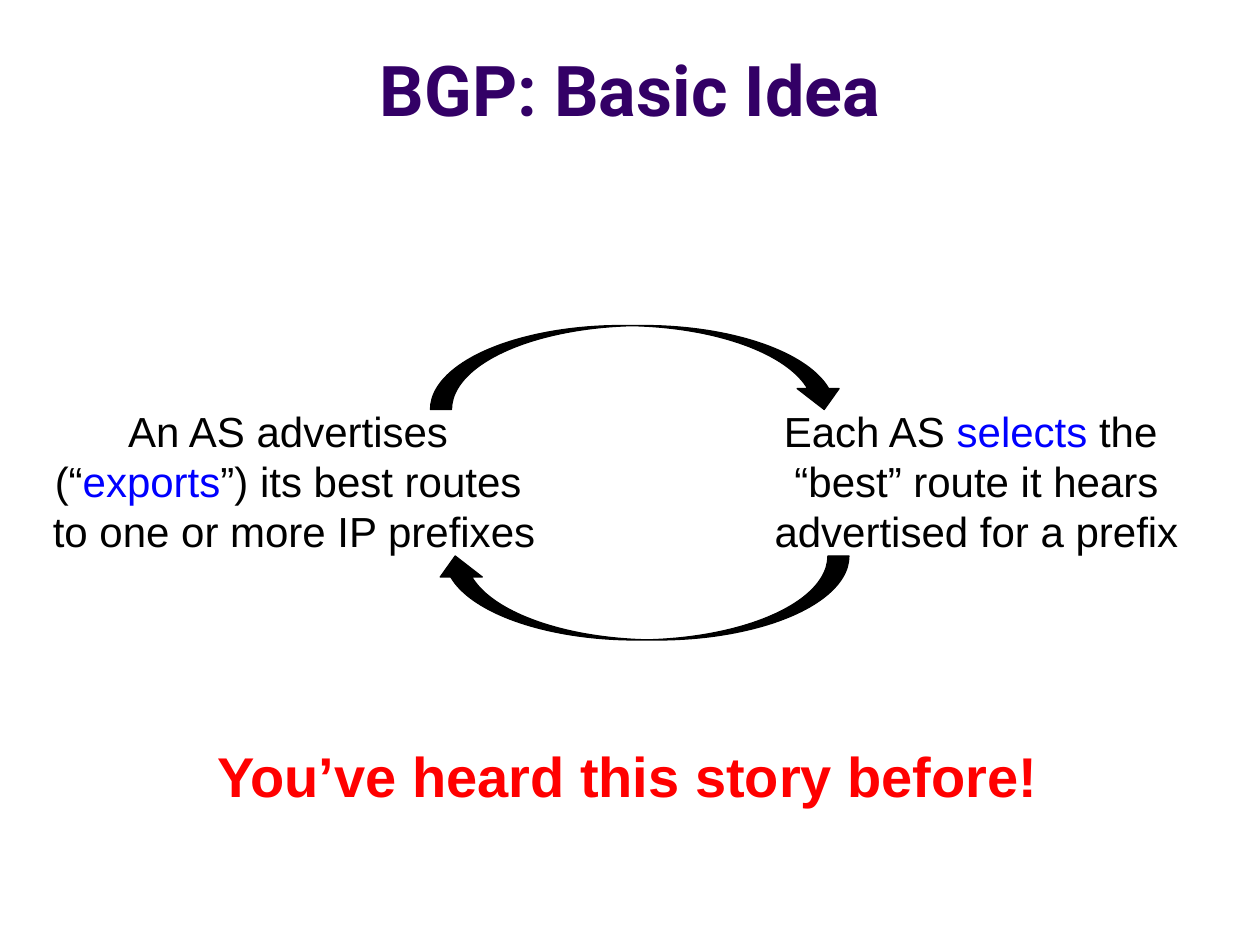
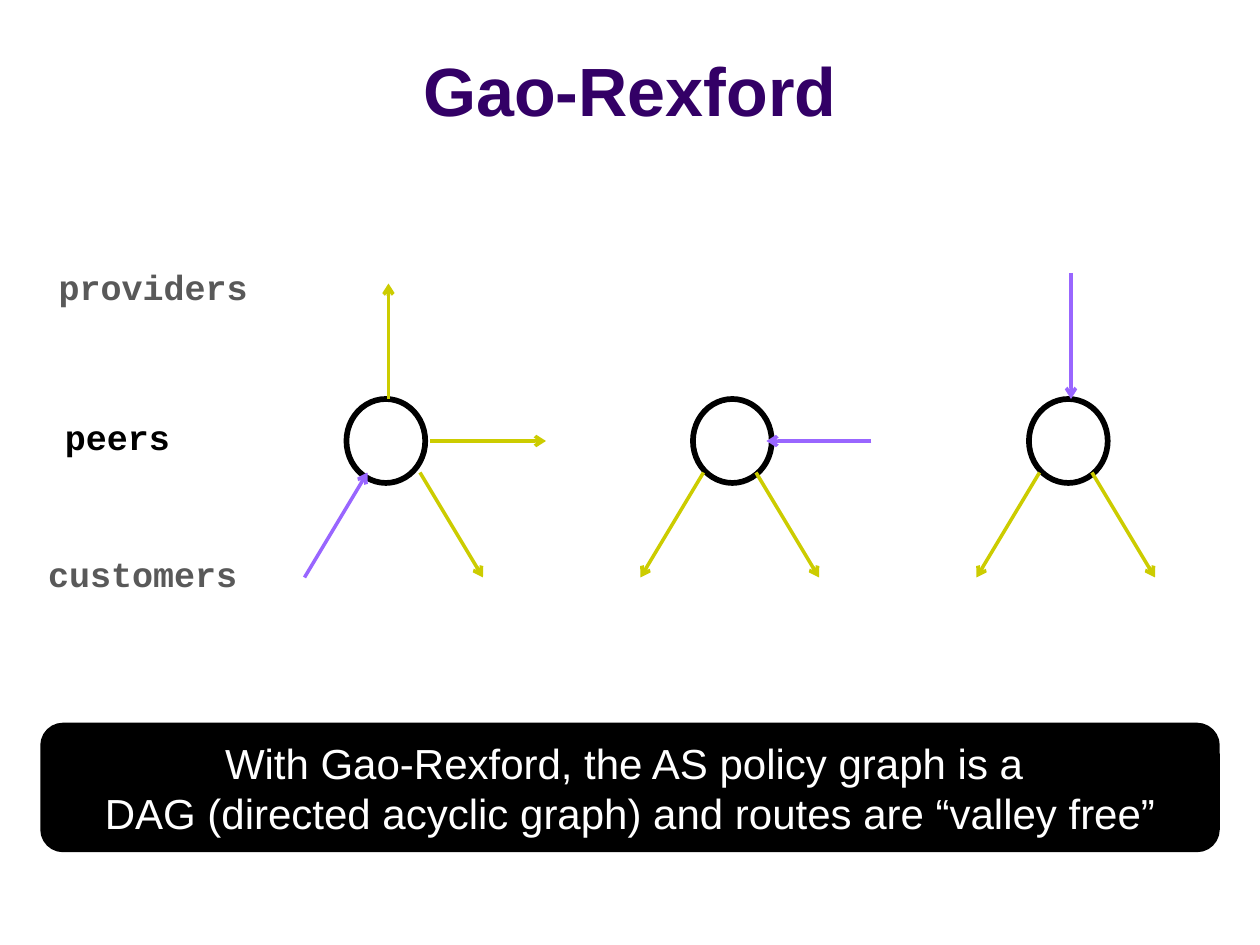
from dataclasses import dataclass

from lxml import etree
from pptx import Presentation
from pptx.dml.color import RGBColor
from pptx.enum.shapes import MSO_CONNECTOR, MSO_SHAPE
from pptx.enum.text import MSO_ANCHOR, MSO_AUTO_SIZE, PP_ALIGN
from pptx.oxml.ns import qn
from pptx.util import Inches, Pt

STRAIGHT = MSO_CONNECTOR.STRAIGHT
OVAL, ROUNDED = MSO_SHAPE.OVAL, MSO_SHAPE.ROUNDED_RECTANGLE
CURVED_ARROW = MSO_SHAPE.CURVED_LEFT_ARROW
LEFT, CENTER = PP_ALIGN.LEFT, PP_ALIGN.CENTER

# The slide is a grid of 120 columns by 90 rows, twelve to the inch.
COLS, ROWS = 120, 90
TITLE_BOTTOM = 13

# Rows and sizes of the routing diagram
NODE_W, NODE_H = 7.5, 8
NODE_TOP = 38
PEER_ROW = 42
CUSTOMER_TOP, CUSTOMER_BOTTOM = 45, 55
SLANT = 6


@dataclass(frozen=True)
class Theme:
    sans: str = "Arial"
    mono: str = "Courier New"
    heading: str = "Roboto"
    title: str = "330066"
    ink: str = "000000"
    paper: str = "FFFFFF"
    muted: str = "595959"
    key: str = "0000FF"
    alert: str = "FF0000"
    export_route: str = "CCCC00"
    import_route: str = "9966FF"
    body_size: int = 24
    label_size: int = 20
    punch_size: int = 32


T = Theme()


def grid(*units):
    return [Inches(u / 12) for u in units]


def rgb(value):
    return RGBColor.from_string(value)


def write(p, parts, size, color=T.ink, font=T.sans, bold=False, align=CENTER):
    """Fill p from (text, colour or None) parts; a newline is a line break."""
    p.alignment = align
    for text, part_color in parts:
        for i, line in enumerate(text.split("\n")):
            if i:
                p.add_line_break()
            r = p.add_run()
            r.text = line
            r.font.name, r.font.size, r.font.bold = font, Pt(size), bold
            r.font.color.rgb = rgb(part_color or color)


def add_slide(prs, title, left, top, size, font):
    s = prs.slides.add_slide(prs.slide_layouts[5])
    sp = s.shapes.title
    sp.left, sp.top, sp.width, sp.height = grid(
        left, top, COLS - 2 * left, TITLE_BOTTOM - top)
    tf = sp.text_frame
    tf.auto_size = MSO_AUTO_SIZE.NONE
    tf.vertical_anchor = MSO_ANCHOR.BOTTOM
    write(tf.paragraphs[0], [(title, None)], size, T.title, font, bold=True)
    return s


def add_text(s, box, parts, size, wrap=True, **style):
    tf = s.shapes.add_textbox(*grid(*box)).text_frame
    tf.word_wrap = wrap
    if not wrap:
        tf.auto_size = MSO_AUTO_SIZE.SHAPE_TO_FIT_TEXT
    write(tf.paragraphs[0], parts, size, **style)


def add_shape(s, kind, box, line_width, fill=None):
    sp = s.shapes.add_shape(kind, *grid(*box))
    sp.shadow.inherit = False
    if fill:
        sp.fill.solid()
        sp.fill.fore_color.rgb = rgb(fill)
    else:
        sp.fill.background()
    sp.line.color.rgb = rgb(T.ink)
    sp.line.width = Pt(line_width)
    return sp


def add_arrow(s, start, end, color):
    c = s.shapes.add_connector(STRAIGHT, *grid(*start, *end))
    c.line.color.rgb = rgb(color)
    c.line.width = Pt(2)
    etree.SubElement(c.line._get_or_add_ln(), qn("a:tailEnd"), type="arrow")
    etree.SubElement(c._element.spPr, qn("a:effectLst"))


def add_customer_arrow(s, x, side, incoming=False):
    """Slanted arrow below a node; side is -1 for left, 1 for right."""
    node_end = (x, CUSTOMER_TOP)
    customer_end = (x + side * SLANT, CUSTOMER_BOTTOM)
    if incoming:
        add_arrow(s, customer_end, node_end, T.import_route)
    else:
        add_arrow(s, node_end, customer_end, T.export_route)


def build_basic_idea(prs):
    s = add_slide(prs, "BGP: Basic Idea", 6, -2.4, 40, T.heading)
    add_text(s, (65, 38, 56, 17),
             [("Each AS ", None), ("selects", T.key),
              (" the \n“best” route it hears advertised for a prefix", None)],
             T.body_size)
    add_text(s, (3, 38, 50, 17),
             [("An AS advertises \n(“", None), ("exports", T.key),
              ("”) its best routes \nto one or more IP prefixes", None)],
             T.body_size)
    for left, top, rotation in ((56.75, 15.25, 270), (57.1, 37.2, 90)):
        sp = add_shape(s, CURVED_ARROW, (left, top, 8, 39.5), 0.75, T.ink)
        sp.rotation = rotation
    add_text(s, (19.5, 70, 81.2, 7.7),
             [("You’ve heard this story before!", None)], T.punch_size,
             wrap=False, color=T.alert, bold=True, align=LEFT)


def build_gao_rexford(prs):
    s = add_slide(prs, "Gao-Rexford", 0, 1.6, 39, T.sans)

    for text, left, top, width, color in (
            ("providers", 4.4, 24.7, 20.6, T.muted),
            ("peers", 5, 39, 12.5, T.ink),
            ("customers", 3.4, 52, 20.6, T.muted)):
        add_text(s, (left, top, width, 5.3), [(text, None)], T.label_size,
                 wrap=False, color=color, font=T.mono, bold=True, align=LEFT)

    for left in (33, 66, 98):
        add_shape(s, OVAL, (left, NODE_TOP, NODE_W, NODE_H), 3.25)

    # Route learned from a customer: exported to everyone
    add_customer_arrow(s, 35, -1, incoming=True)
    add_customer_arrow(s, 40, 1)
    add_arrow(s, (37, NODE_TOP), (37, 27), T.export_route)
    add_arrow(s, (41, PEER_ROW), (52, PEER_ROW), T.export_route)

    # Routes learned from a peer or a provider: exported to customers only
    add_arrow(s, (83, PEER_ROW), (73, PEER_ROW), T.import_route)
    add_arrow(s, (102, 26), (102, NODE_TOP), T.import_route)
    for left_x, right_x in ((67, 72), (99, 104)):
        add_customer_arrow(s, left_x, -1)
        add_customer_arrow(s, right_x, 1)

    banner = add_shape(s, ROUNDED, (4, 69, COLS - 8, 12), 2, T.ink)
    tf = banner.text_frame
    tf.word_wrap = False
    tf.vertical_anchor = MSO_ANCHOR.MIDDLE
    write(tf.paragraphs[0],
          [("With Gao-Rexford, the AS policy graph is a \n"
            "DAG (directed acyclic graph) and routes are “valley free”", None)],
          T.body_size, T.paper)


def main():
    prs = Presentation()
    prs.slide_width, prs.slide_height = grid(COLS, ROWS)
    build_basic_idea(prs)
    build_gao_rexford(prs)
    prs.save("out.pptx")


if __name__ == "__main__":
    main()
